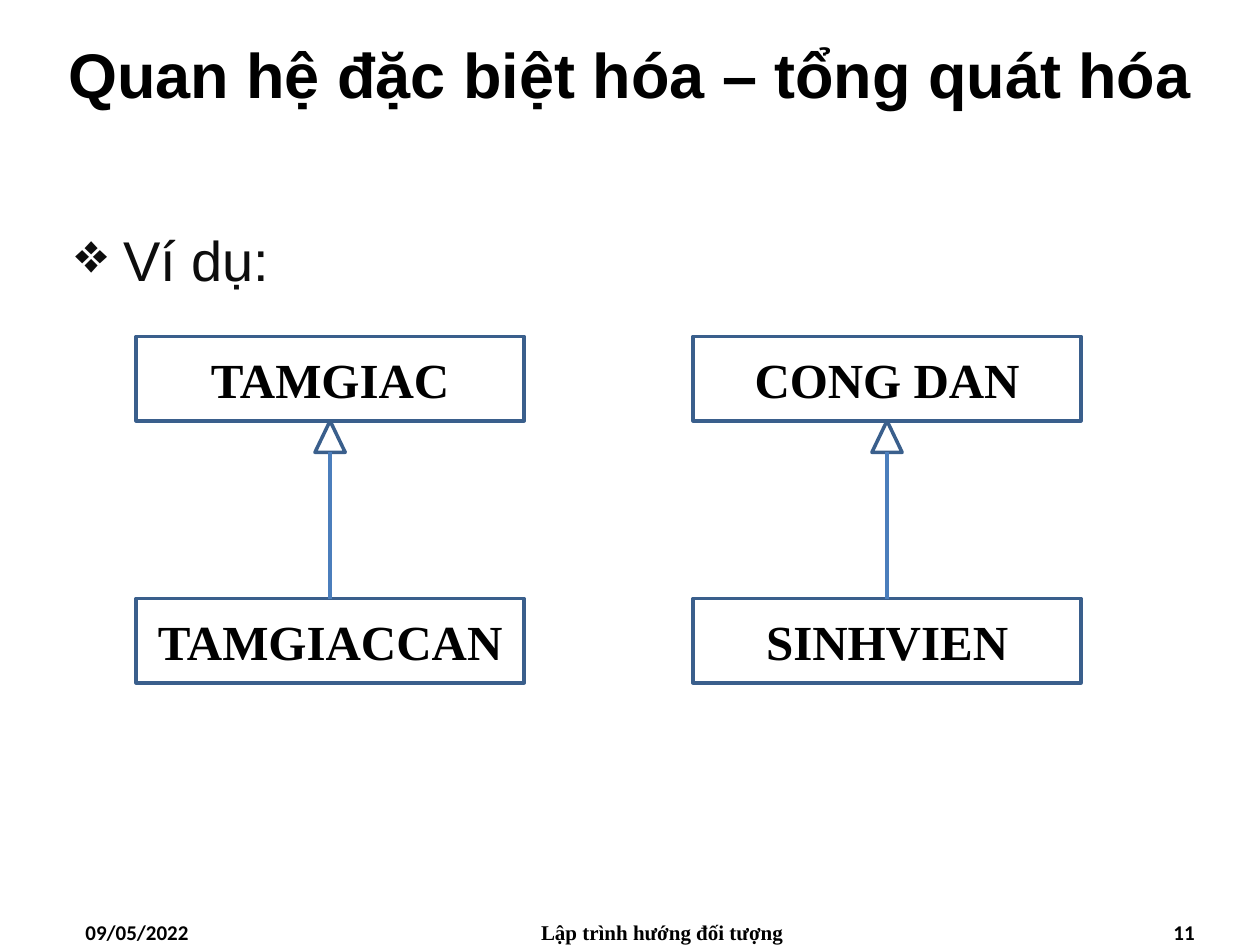
from lxml.etree import SubElement
from pptx import Presentation
from pptx.dml.color import RGBColor as Color
from pptx.enum.shapes import MSO_CONNECTOR as Connector, MSO_SHAPE as Shape
from pptx.enum.text import MSO_ANCHOR as Anchor, PP_ALIGN as Align
from pptx.oxml.ns import qn
from pptx.util import Inches, Pt

COLORS = {"text": "000000", "body": "0D0D0D", "outline": "3A5F8C", "arrow": "4B7EBC"}
BOX_WIDTH, BOX_HEIGHT = 3.08, 0.67
PARENT_TOP, CHILD_TOP = 2.67, 4.75
HEAD_WIDTH, HEAD_HEIGHT = 0.24, 0.25
FIRST_LEFT, COLUMN_STEP = 1.08, 4.42
FOOTER_TOP, FOOTER_HEIGHT = 7.25, 0.25


def color(name):
    return Color.from_string(COLORS[name])


def inches(*lengths):
    return [Inches(length) for length in lengths]


def write(shape, text, size, font="Arial", fill="text", bold=False,
          align=Align.LEFT, anchor=Anchor.TOP):
    frame = shape.text_frame
    frame.word_wrap = True
    frame.vertical_anchor = anchor
    paragraph = frame.paragraphs[0]
    paragraph.alignment = align
    run = paragraph.add_run()
    run.text = text
    run.font.size = Pt(size)
    run.font.name = font
    run.font.bold = bold
    run.font.color.rgb = color(fill)
    return paragraph


def add_text(slide, bounds, text, size, **style):
    return write(slide.shapes.add_textbox(*inches(*bounds)), text, size, **style)


def add_bullet(paragraph, symbol, indent):
    properties = paragraph._p.get_or_add_pPr()
    properties.set("marL", str(Inches(indent)))
    properties.set("indent", str(-Inches(indent)))
    SubElement(properties, qn("a:buChar"), char=symbol)


def add_outline(group, kind, *bounds):
    shape = group.shapes.add_shape(kind, *inches(*bounds))
    shape.shadow.inherit = False
    shape.fill.background()
    shape.line.color.rgb = color("outline")
    shape.line.width = Pt(2)
    return shape


def add_class(group, left, top, name):
    box = add_outline(group, Shape.RECTANGLE, left, top, BOX_WIDTH, BOX_HEIGHT)
    write(box, name, 28, font="Times New Roman", bold=True,
          align=Align.CENTER, anchor=Anchor.MIDDLE)


def add_inheritance(slide, left, parent, child):
    group = slide.shapes.add_group_shape()
    add_class(group, left, PARENT_TOP, parent)
    add_class(group, left, CHILD_TOP, child)
    center = left + BOX_WIDTH / 2
    head_top = PARENT_TOP + BOX_HEIGHT
    add_outline(group, Shape.ISOSCELES_TRIANGLE, center - HEAD_WIDTH / 2, head_top,
                HEAD_WIDTH, HEAD_HEIGHT)
    stem = group.shapes.add_connector(
        Connector.STRAIGHT, *inches(center, CHILD_TOP, center, head_top + HEAD_HEIGHT))
    stem.line.color.rgb = color("arrow")
    stem.line.width = Pt(2)
    SubElement(stem._element.spPr, qn("a:effectLst"))


def add_title(slide, text):
    title = slide.shapes.title
    title.left, title.top, title.width, title.height = inches(0, 0, 10, 1.17)
    write(title, text, 36, bold=True, align=Align.CENTER, anchor=Anchor.MIDDLE)


def add_body(slide, text):
    paragraph = add_text(slide, (0.5, 1.58, 9.17, 5.39), text, 32,
                         fill="body", align=Align.JUSTIFY)
    paragraph.line_spacing = 1.3
    paragraph.space_before = paragraph.space_after = Pt(3)
    add_bullet(paragraph, "❖", 0.38)


def add_footer(slide):
    for left, width, text, font, align in (
        (0.58, 2.33, "09/05/2022", "Calibri", Align.LEFT),
        (3.67, 3.17, "Lập trình hướng đối tượng", "Times New Roman", Align.CENTER),
        (7.25, 2.33, "11", "Calibri", Align.RIGHT),
    ):
        add_text(slide, (left, FOOTER_TOP, width, FOOTER_HEIGHT), text, 12,
                 font=font, bold=True, align=align)


def main():
    presentation = Presentation()
    presentation.slide_width, presentation.slide_height = inches(10, 7.5)
    slide = presentation.slides.add_slide(presentation.slide_layouts[5])
    add_title(slide, "Quan hệ đặc biệt hóa – tổng quát hóa")
    add_body(slide, "Ví dụ:")
    add_footer(slide)
    pairs = (("TAMGIAC", "TAMGIACCAN"), ("CONG DAN", "SINHVIEN"))
    for column, (parent, child) in enumerate(pairs):
        add_inheritance(slide, FIRST_LEFT + column * COLUMN_STEP, parent, child)
    presentation.save("out.pptx")


if __name__ == "__main__":
    main()
